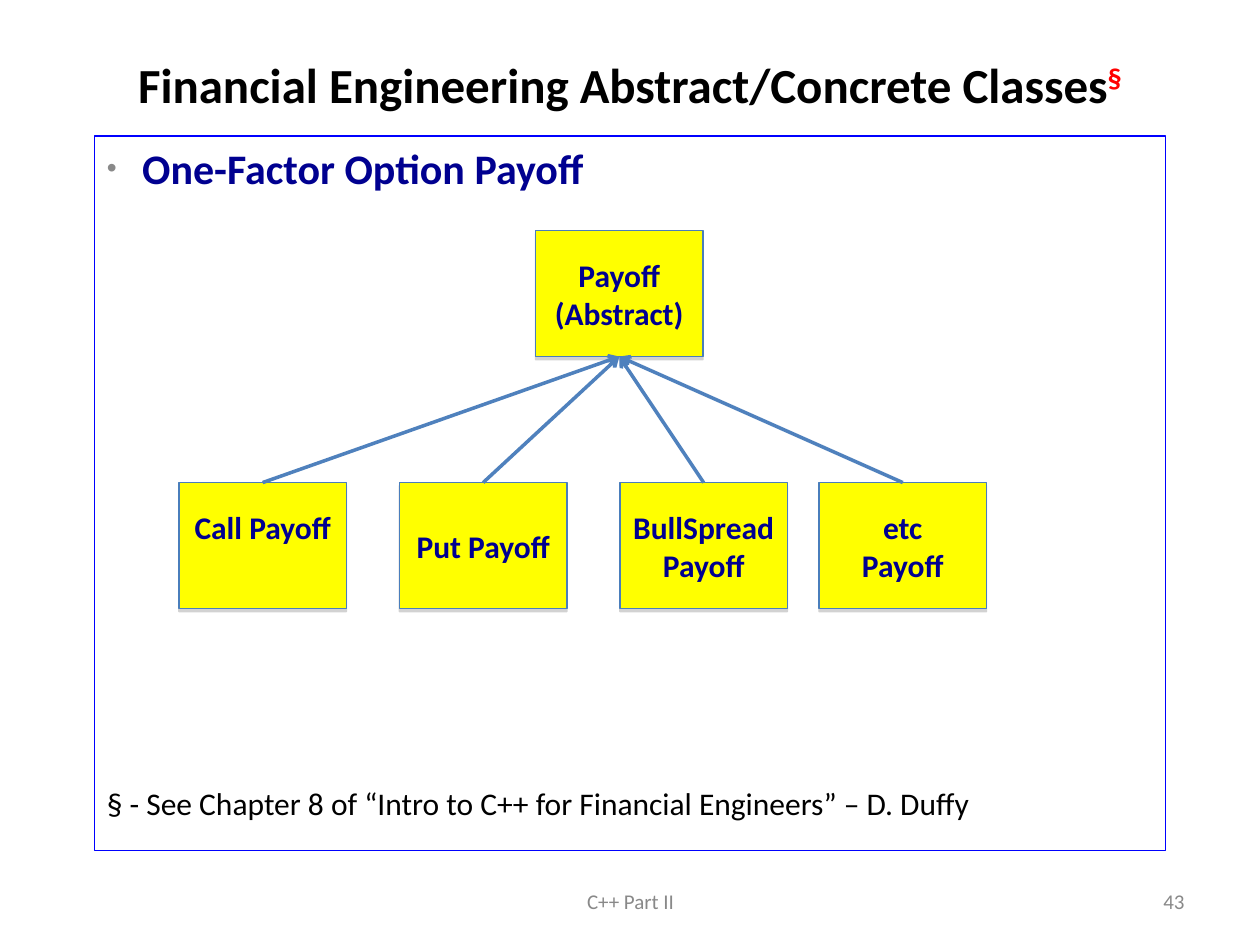
"""Build the slide on the one-factor option payoff class hierarchy."""
from lxml import etree
from pptx import Presentation
from pptx.dml.color import RGBColor
from pptx.enum.shapes import MSO_CONNECTOR as Connector, MSO_SHAPE as Shape
from pptx.enum.text import MSO_ANCHOR as Anchor, PP_ALIGN as Align
from pptx.oxml import parse_xml
from pptx.oxml.ns import nsdecls, qn
from pptx.util import Inches, Pt

BLACK = RGBColor(0x00, 0x00, 0x00)
RED = RGBColor(0xFF, 0x00, 0x00)
NAVY = RGBColor(0x00, 0x00, 0x90)
BLUE = RGBColor(0x00, 0x00, 0xFF)
GRAY = RGBColor(0x89, 0x89, 0x89)
YELLOW = RGBColor(0xFF, 0xFF, 0x00)
BOX_EDGE = RGBColor(0x4A, 0x7E, 0xBB)
ARROW = RGBColor(0x4F, 0x81, 0xBD)


def add_span(para, text, size, color, bold=False):
    span = para.add_run()
    span.text = text
    span.font.name = "Calibri"
    span.font.size = Pt(size)
    span.font.bold = bold
    span.font.color.rgb = color
    return span


def add_class_box(page, left, top, lines):
    box = page.shapes.add_shape(Shape.RECTANGLE, Inches(left), Inches(top), Inches(1.33), Inches(1))
    box.fill.solid()
    box.fill.fore_color.rgb = YELLOW
    box.line.color.rgb = BOX_EDGE
    box.line.width = Pt(0.75)
    box.shadow.inherit = False
    effects = box._element.spPr.find(qn("a:effectLst"))
    effects.append(parse_xml(
        f'<a:outerShdw {nsdecls("a")} dist="23000" dir="5400000" rotWithShape="0">'
        '<a:srgbClr val="808080"><a:alpha val="35000"/></a:srgbClr></a:outerShdw>'))
    frame = box.text_frame
    frame.word_wrap = True
    frame.vertical_anchor = Anchor.MIDDLE
    for index, line in enumerate(lines):
        para = frame.add_paragraph() if index else frame.paragraphs[0]
        para.alignment = Align.CENTER
        add_span(para, line, 18, NAVY, True)
    return box


deck = Presentation()
deck.slide_width, deck.slide_height = Inches(10), Inches(7.5)
page = deck.slides.add_slide(deck.slide_layouts[6])

title = page.shapes.add_textbox(Inches(0.75), Inches(0.25), Inches(8.5), Inches(0.83))
title.text_frame.word_wrap = True
title.text_frame.vertical_anchor = Anchor.MIDDLE
para = title.text_frame.paragraphs[0]
para.alignment = Align.CENTER
add_span(para, "Financial Engineering Abstract/Concrete Classes", 28, BLACK, True)
mark = add_span(para, "§", 28, RED, True)
mark._r.get_or_add_rPr().set("baseline", "30000")

body = page.shapes.add_shape(Shape.RECTANGLE, Inches(0.75), Inches(1.08), Inches(8.5), Inches(5.67))
body.fill.background()
body.line.color.rgb = BLUE
body.line.width = Pt(0.75)
body.shadow.inherit = False
body.text_frame.word_wrap = True
body.text_frame.vertical_anchor = Anchor.TOP
heading = body.text_frame.paragraphs[0]
heading.alignment = Align.LEFT
heading.space_after = Pt(6)
settings = heading._p.get_or_add_pPr()
settings.set("marL", str(Inches(0.28)))
settings.set("indent", str(-Inches(0.28)))
bullet_color = etree.SubElement(settings, qn("a:buClr"))
etree.SubElement(bullet_color, qn("a:srgbClr"), val=str(GRAY))
etree.SubElement(settings, qn("a:buSzPct"), val="67000")
etree.SubElement(settings, qn("a:buFont"), typeface="Arial")
etree.SubElement(settings, qn("a:buChar"), char="•")
add_span(heading, "One-Factor Option Payoff", 24, NAVY, True)
footnote = body.text_frame.add_paragraph()
footnote.alignment = Align.LEFT
footnote.space_before = Pt(332)
add_span(footnote, "§ - See Chapter 8 of “Intro to C++ for Financial Engineers” – D. Duffy", 18, BLACK)

for left, width, text, alignment in [
    (3.42, 3.17, "C++ Part II", Align.CENTER),
    (7.17, 2.33, "43", Align.RIGHT),
]:
    footer = page.shapes.add_textbox(Inches(left), Inches(6.95), Inches(width), Inches(0.4))
    footer.text_frame.word_wrap = True
    footer.text_frame.vertical_anchor = Anchor.MIDDLE
    para = footer.text_frame.paragraphs[0]
    para.alignment = alignment
    add_span(para, text, 12, GRAY)

base = add_class_box(page, 4.25, 1.83, ["Payoff", "(Abstract)"])
derived = [
    add_class_box(page, left, 3.83, lines)
    for left, lines in [
        (1.42, ["Call Payoff"]),
        (3.17, ["Put Payoff"]),
        (4.92, ["BullSpread Payoff"]),
        (6.5, ["etc", "Payoff"]),
    ]
]
derived[0].text_frame.margin_bottom = Inches(0.35)

for box in derived:
    arrow = page.shapes.add_connector(Connector.STRAIGHT, 0, 0, 0, 0)
    arrow.begin_connect(box, 0)
    arrow.end_connect(base, 2)
    arrow.line.color.rgb = ARROW
    arrow.line.width = Pt(2)
    etree.SubElement(arrow.line._get_or_add_ln(), qn("a:tailEnd"), type="arrow")
    etree.SubElement(arrow._element.spPr, qn("a:effectLst"))

deck.save("out.pptx")
